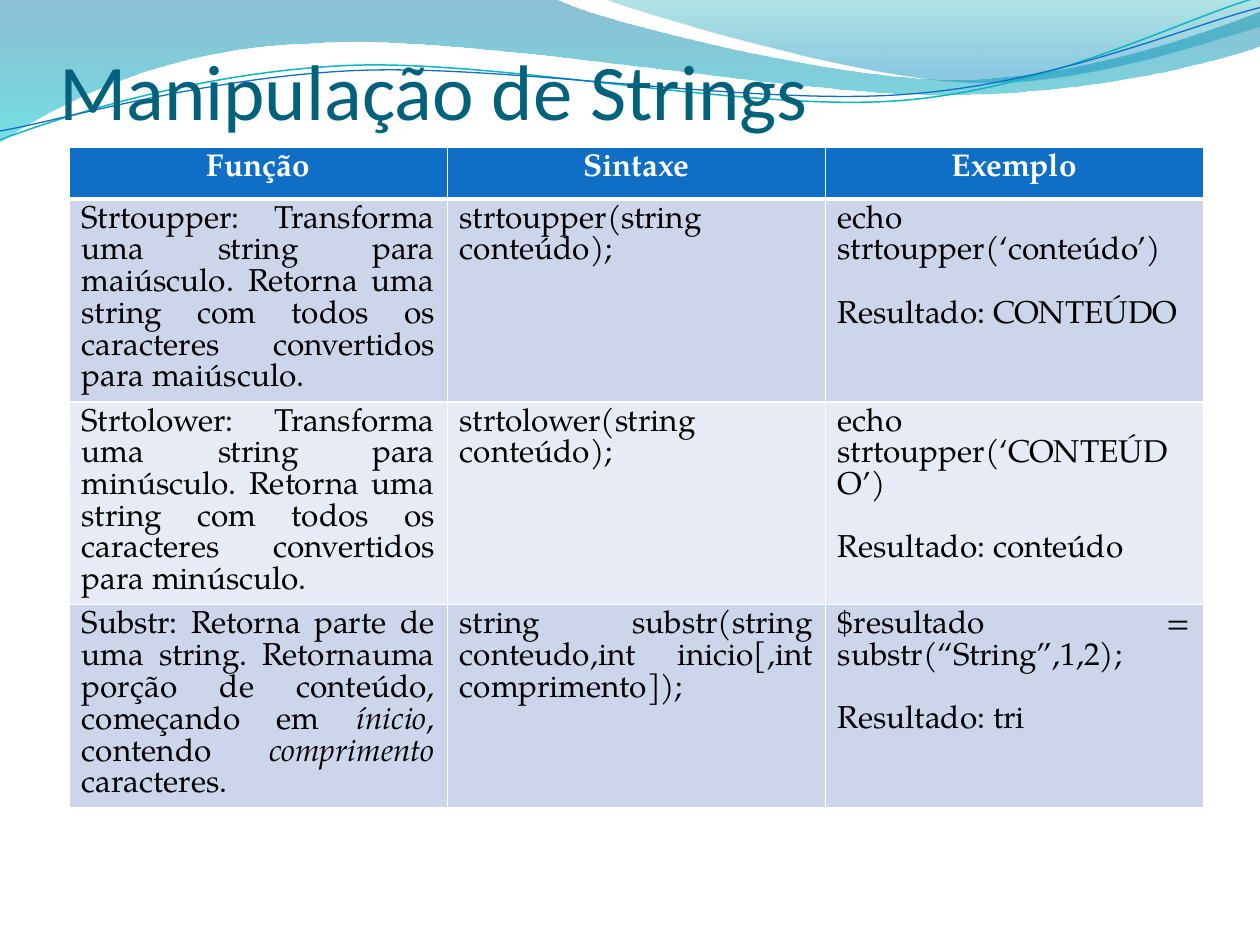
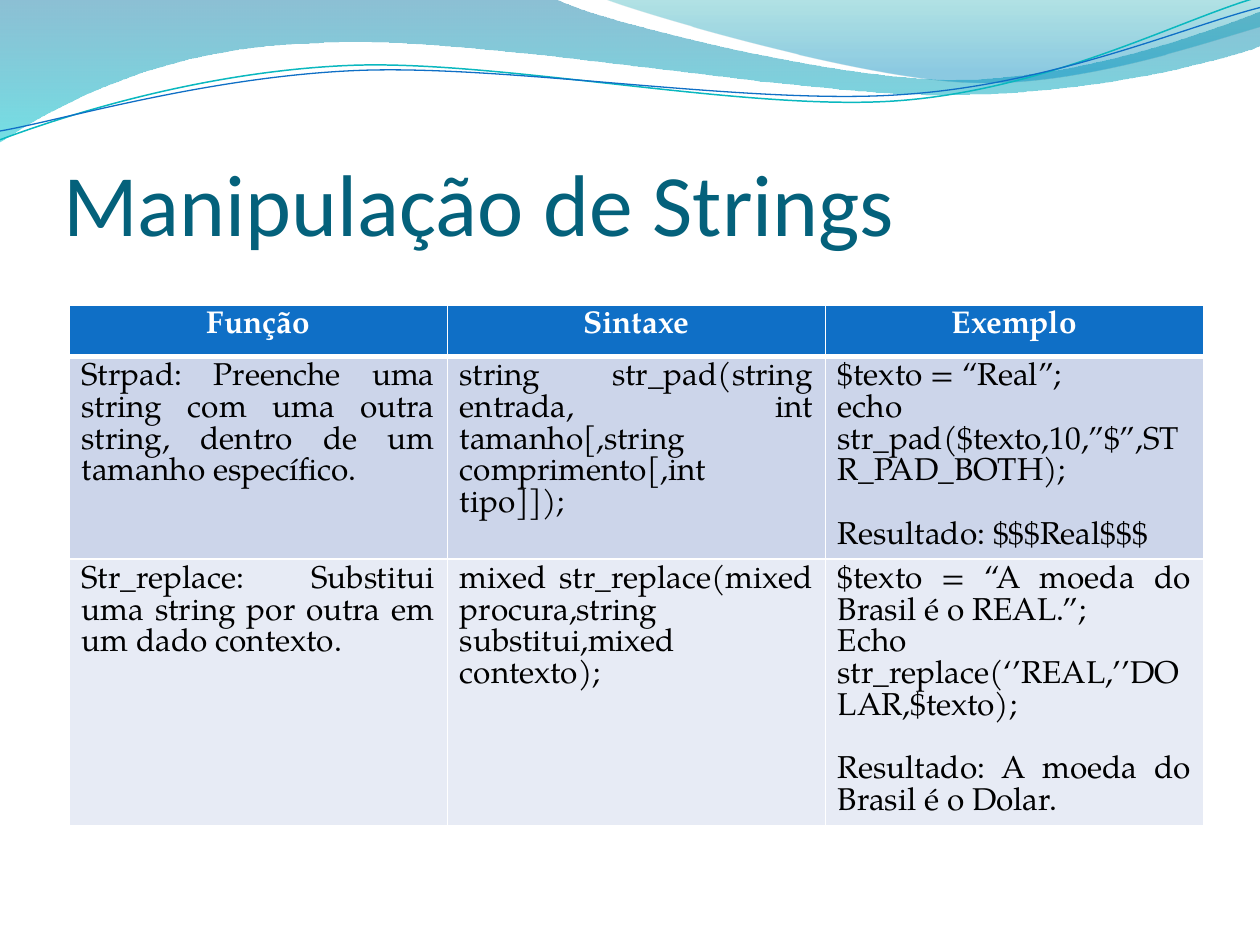
from lxml.etree import SubElement
from pptx import Presentation
from pptx.dml.color import RGBColor as RGB
from pptx.enum.text import MSO_ANCHOR as Anchor, MSO_AUTO_SIZE as Fit, PP_ALIGN as Align
from pptx.oxml.ns import qn
from pptx.util import Inches, Pt

WHITE = RGB(0xFF, 0xFF, 0xFF)
BLACK = RGB(0, 0, 0)
BLUE = RGB(0x0F, 0x6F, 0xC6)
TEAL = RGB(0x0A, 0xB8, 0xBF)
NAVY = RGB(0x04, 0x61, 0x7B)
BANDS = RGB(0xCC, 0xD5, 0xEA), RGB(0xE7, 0xEB, 0xF5)

HEAD_FONT, BODY_FONT = "Calibri", "TeX Gyre Pagella"
TITLE = "Manipulação de Strings"
HEADS = "Função", "Sintaxe", "Exemplo"
ROW = Inches(0.41)

# Wave outlines: a pair is a straight step, six numbers are a cubic curve.
# Filled waves end with gradient stops: place, colour, opacity in percent.
FILLS = [
    ([(0, 0), (4.4, -0.01), (4.76, 0.17, 6.64, 0.63, 7.58, 0.63),
      (8.53, 0.63, 9.58, 0.26, 10, 0.09), (10.01, 0.36),
      (9.83, 0.44, 8.7, 0.76, 7.46, 0.75), (6.22, 0.75, 3.82, 0.28, 2.57, 0.34),
      (1.29, 0.36, 0.46, 0.83, -0.01, 1.13)],
     [(0, RGB(0, 0x74, 0xA1), 45), (1, RGB(0, 0xC6, 0xCF), 55)]),
    ([(4.79, -0.01), (5.09, 0.11, 6.82, 0.62, 7.69, 0.65),
      (8.56, 0.69, 9.61, 0.32, 10, 0.21), (10, 0)],
     [(0, RGB(0, 0xA1, 0xA9), 30), (0.8, RGB(0, 0x8B, 0xBF), 45)]),
]
LINES = [
    ([(0, 1.11), (0.48, 0.93, 1.58, 0.57, 2.77, 0.52),
      (3.95, 0.47, 5.93, 0.89, 7.13, 0.8), (8.33, 0.71, 9.38, 0.15, 9.98, -0.02)],
     TEAL, 0.85),
    ([(0, 1.04), (0.47, 0.96, 1.64, 0.61, 2.83, 0.56),
      (4.03, 0.51, 5.97, 0.84, 7.17, 0.75), (8.36, 0.67, 9.41, 0.21, 10, 0.06)],
     BLUE, 0.75),
]

# A cell is a list of paragraphs; asterisks enclose italics.
CASES = [
    [["Strtoupper: Transforma uma string para maiúsculo. Retorna uma string "
      "com todos os caracteres convertidos para maiúsculo."],
     ["strtoupper(string conteúdo);"],
     ["echo strtoupper(‘conteúdo’)", "Resultado: CONTEÚDO"]],
    [["Strtolower: Transforma uma string para minúsculo. Retorna uma string "
      "com todos os caracteres convertidos para minúsculo."],
     ["strtolower(string conteúdo);"],
     ["echo strtoupper(‘CONTEÚDO’)", "Resultado: conteúdo"]],
    [["Substr: Retorna parte de uma string. Retornauma porção de conteúdo, "
      "começando em *ínicio*, contendo *comprimento* caracteres."],
     ["string substr(string conteudo,int inicio[,int comprimento]);"],
     ["$resultado = substr(“String”,1,2);", "Resultado: tri"]],
]
PADS = [
    [["Strpad: Preenche uma string com uma outra string, dentro de um "
      "tamanho específico."],
     ["string str_pad(string entrada, int tamanho[,string "
      "comprimento[,int tipo]]);"],
     ["$texto = “Real”;", "echo str_pad($texto,10,”$”,STR_PAD_BOTH);",
      "Resultado: $$$Real$$$"]],
    [["Str_replace: Substitui uma string por outra em um dado contexto."],
     ["mixed str_replace(mixed procura,string substitui,mixed contexto);"],
     ["$texto = “A moeda do Brasil é o REAL.”;",
      "Echo str_replace(‘’REAL,’’DOLAR,$texto);",
      "Resultado: A moeda do Brasil é o Dolar."]],
]


def bend(wave, steps):
    """Join each three straight pieces of a curved step into one curve."""
    pieces = iter(list(wave._element.spPr.iter(qn("a:lnTo"))))
    for step in steps[1:]:
        piece = next(pieces)
        if len(step) == 2:
            continue
        piece.tag = qn("a:cubicBezTo")
        for _ in range(2):
            extra = next(pieces)
            piece.append(extra[0])
            extra.getparent().remove(extra)


def add_wave(slide, steps, close):
    """Draw one wave outline without a shadow."""
    points = [(Inches(step[i]), Inches(step[i + 1]))
              for step in steps for i in range(0, len(step), 2)]
    pen = slide.shapes.build_freeform(*points[0])
    pen.add_line_segments(points[1:], close=close)
    wave = pen.convert_to_shape()
    bend(wave, steps)
    wave.shadow.inherit = False
    return wave


def fill_wave(wave, stops):
    """Give a wave a see-through gradient running downwards."""
    wave.line.fill.background()
    wave.fill.gradient()
    wave.fill.gradient_angle = 270
    for stop, (place, color, _) in zip(wave.fill.gradient_stops, stops):
        stop.position = place
        stop.color.rgb = color
    tints = wave._element.spPr.iter(qn("a:srgbClr"))
    for tint, (_, _, alpha) in zip(tints, stops):
        SubElement(tint, qn("a:alpha"), val=str(alpha * 1000))


def add_band(slide, master):
    """Draw the wave band and move it to the back of the master."""
    waves = []
    for steps, stops in FILLS:
        wave = add_wave(slide, steps, True)
        fill_wave(wave, stops)
        waves.append(wave)
    for steps, color, width in LINES:
        wave = add_wave(slide, steps, False)
        wave.fill.background()
        wave.line.color.rgb = color
        wave.line.width = Pt(width)
        waves.append(wave)
    tree = master.shapes._spTree
    for n, wave in enumerate(waves):
        wave._element.nvSpPr.cNvPr.set("id", str(100 + n))
        tree.insert(2 + n, wave._element)


def set_font(para, name, size, color, bold=False):
    """Set the font of a whole paragraph."""
    font = para.font
    font.name, font.size, font.bold = name, Pt(size), bold
    font.color.rgb = color


def set_title(slide, box, size):
    """Place the title at the foot of its box."""
    title = slide.shapes.title
    title.left, title.top, title.width, title.height = map(Inches, box)
    frame = title.text_frame
    frame.text = TITLE
    frame.auto_size = Fit.NONE
    frame.vertical_anchor = Anchor.BOTTOM
    frame.margin_left = frame.margin_right = frame.margin_bottom = 0
    frame.margin_top = Inches(0.05)
    para = frame.paragraphs[0]
    para.alignment = Align.LEFT
    set_font(para, HEAD_FONT, size, NAVY)


def set_cell(cell, fill, foot):
    """Give a cell white edges, a bottom edge of foot points and a fill."""
    props = cell._tc.get_or_add_tcPr()
    for side, width in zip("LRTB", (1, 1, 1, foot)):
        edge = SubElement(props, qn("a:ln" + side), w=str(Pt(width)))
        solid = SubElement(edge, qn("a:solidFill"))
        SubElement(solid, qn("a:srgbClr"), val=str(WHITE))
    cell.fill.solid()
    cell.fill.fore_color.rgb = fill


def write_cell(cell, lines, align, color, bold=False):
    """Write the paragraphs of a cell, with a gap above the result."""
    frame = cell.text_frame
    for n, line in enumerate(lines):
        para = frame.add_paragraph() if n else frame.paragraphs[0]
        para.alignment = align
        set_font(para, BODY_FONT, 18, color, bold)
        if line.startswith("Resultado"):
            para.space_before = Pt(18)
        for k, part in enumerate(line.split("*")):
            run = para.add_run()
            run.text = part
            if k % 2:
                run.font.italic = True


def add_grid(slide, box, cases):
    """Add the table of functions; rows grow to hold their text."""
    frame = slide.shapes.add_table(len(cases) + 1, len(HEADS), *map(Inches, box))
    grid = frame.table
    for row in grid.rows:
        row.height = ROW
    frame.height = Inches(box[3])
    for c, head in enumerate(HEADS):
        cell = grid.cell(0, c)
        set_cell(cell, BLUE, 3)
        write_cell(cell, [head], Align.CENTER, WHITE, True)
    for r, case in enumerate(cases):
        for c, lines in enumerate(case):
            cell = grid.cell(r + 1, c)
            set_cell(cell, BANDS[r % 2], 1)
            write_cell(cell, lines, Align.JUSTIFY, BLACK)


def add_page(deck, title_box, size, grid_box, cases):
    """Add a slide with a title and a table."""
    slide = deck.slides.add_slide(deck.slide_layouts.get_by_name("Title Only"))
    set_title(slide, title_box, size)
    add_grid(slide, grid_box, cases)
    return slide


deck = Presentation()
deck.slide_width, deck.slide_height = Inches(10), Inches(7.5)
first = add_page(deck, (0.47, 0.23, 9, 0.85), 45, (0.55, 1.17, 9, 6.11), CASES)
add_page(deck, (0.5, 0.77, 9, 1.25), 50, (0.55, 2.42, 9, 4.81), PADS)
add_band(first, deck.slide_master)
deck.save("out.pptx")
